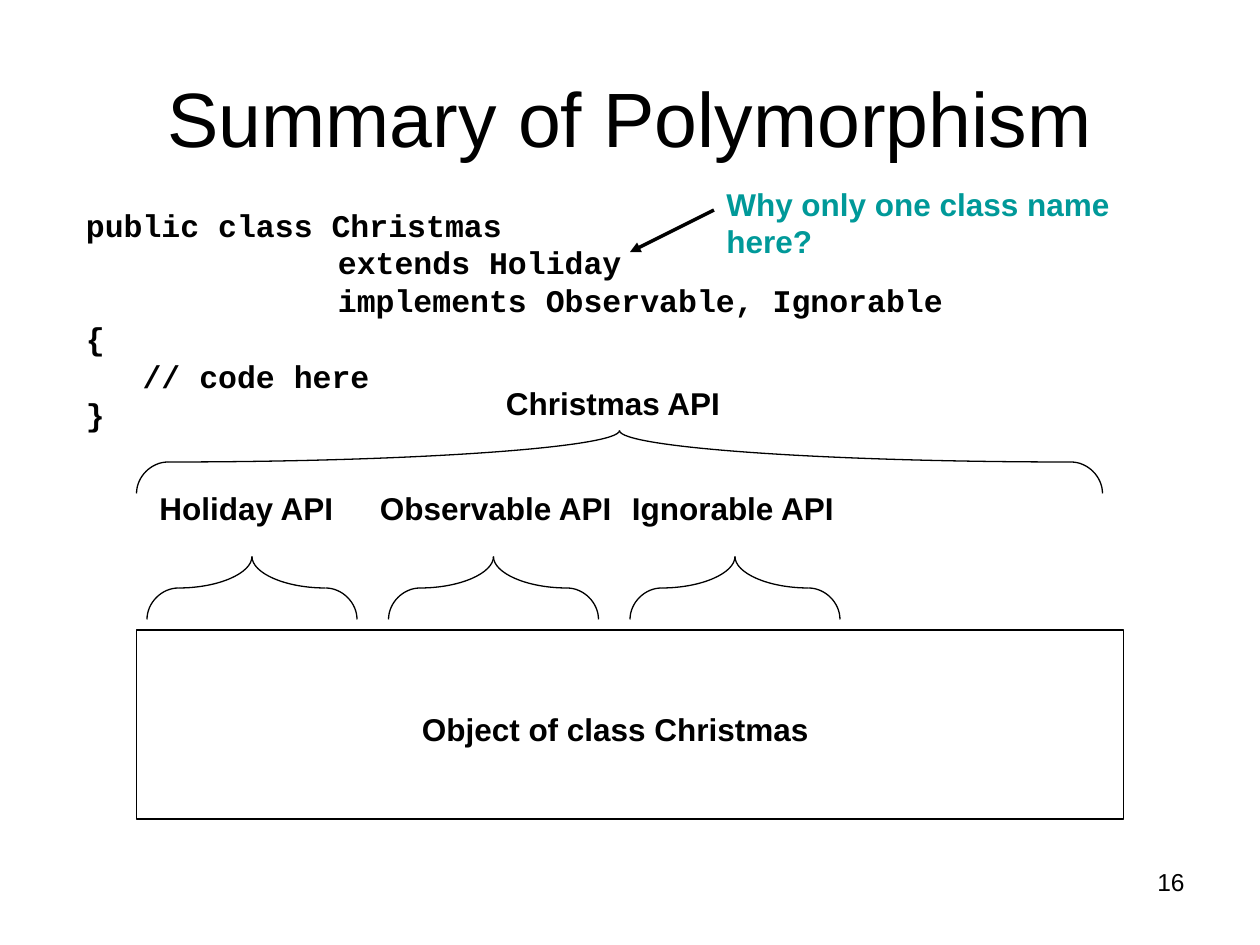
from lxml import etree
from pptx import Presentation
from pptx.dml.color import RGBColor
from pptx.enum.shapes import MSO_CONNECTOR, MSO_SHAPE
from pptx.enum.text import MSO_ANCHOR, PP_ALIGN
from pptx.oxml.ns import qn
from pptx.util import Pt

PX = 7620  # EMU per px, at 120 px to the inch
BLACK = RGBColor(0x00, 0x00, 0x00)
WHITE = RGBColor(0xFF, 0xFF, 0xFF)
TEAL = RGBColor(0x00, 0x99, 0x99)
CURVE = 0.55  # control point distance for a quarter ellipse
BRACE_STEP = 30  # half the height of a brace

# text, indent in px
CODE = [
    ("public class Christmas", 0),
    ("extends Holiday", 240),
    ("implements Observable, Ignorable", 240),
    ("{", 0),
    ("// code here", 54),
    ("}", 0),
]
# label, label left, label width
APIS = [
    ("Holiday API", 140, 191),
    ("Observable API", 350, 246),
    ("Ignorable API", 590, 217),
]


def px(*values):
    return [round(v * PX) for v in values]


def style(p, size, font="Arial", bold=False, color=BLACK):
    p.font.size = Pt(size)
    p.font.name = font
    p.font.bold = bold
    p.font.color.rgb = color


def add_text(slide, text, box, size, align=PP_ALIGN.LEFT,
             anchor=MSO_ANCHOR.TOP, wrap=True, **font):
    tf = slide.shapes.add_textbox(*px(*box)).text_frame
    tf.word_wrap = wrap
    tf.vertical_anchor = anchor
    p = tf.paragraphs[0]
    p.text = text
    p.alignment = align
    style(p, size, **font)


def add_label(slide, text, left, top, width, color=BLACK):
    add_text(slide, text, (left, top, width, 48), 18,
             wrap=False, bold=True, color=color)


def add_code(slide, lines, box):
    tf = slide.shapes.add_textbox(*px(*box)).text_frame
    tf.word_wrap = True
    for i, (text, indent) in enumerate(lines):
        p = tf.add_paragraph() if i else tf.paragraphs[0]
        p.text = text
        p.line_spacing = Pt(21.6)
        style(p, 18, font="Courier New", bold=True)
        if indent:
            p._p.get_or_add_pPr().set("marL", str(indent * PX))


def outline(sp):
    sp.shadow.inherit = False
    sp.line.color.rgb = BLACK
    sp.line.width = Pt(0.75)


def add_quarter(slide, x0, y0, x1, y1):
    """Draw a quarter ellipse that leaves (x0, y0) level and ends upright."""
    points = [
        (x0 + CURVE * (x1 - x0), y0),
        (x1, y1 - CURVE * (y1 - y0)),
        (x1, y1),
    ]
    builder = slide.shapes.build_freeform(x0, y0, scale=PX)
    builder.add_line_segments(points, close=False)
    sp = builder.convert_to_shape()
    outline(sp)
    sp.fill.background()
    path = next(sp._element.iter(qn("a:path")))
    bezier = etree.SubElement(path, qn("a:cubicBezTo"))
    for line in path.findall(qn("a:lnTo")):
        bezier.append(line[0])
        path.remove(line)


def add_brace(slide, left, top, width):
    tip = left + width // 2
    middle, bottom = top + BRACE_STEP, top + 2 * BRACE_STEP
    for end, inward in ((left, 1), (left + width, -1)):
        shoulder = end + inward * BRACE_STEP
        add_quarter(slide, shoulder, middle, end, bottom)
        add_quarter(slide, shoulder, middle, tip, top)


def add_box(slide, box):
    sp = slide.shapes.add_shape(MSO_SHAPE.RECTANGLE, *px(*box))
    outline(sp)
    sp.fill.solid()
    sp.fill.fore_color.rgb = WHITE


def add_arrow(slide, start, end):
    line = slide.shapes.add_connector(MSO_CONNECTOR.STRAIGHT, *px(*start, *end))
    line.line.color.rgb = BLACK
    line.line.width = Pt(2)
    etree.SubElement(line.line._get_or_add_ln(), qn("a:tailEnd"), type="triangle")
    etree.SubElement(line._element.spPr, qn("a:effectLst"))


def main():
    prs = Presentation()
    prs.slide_width, prs.slide_height = px(1200, 900)
    slide = prs.slides.add_slide(prs.slide_layouts[6])

    add_text(slide, "16", (860, 820, 280, 62), 14, align=PP_ALIGN.RIGHT)
    add_text(slide, "Summary of Polymorphism", (60, 36, 1080, 150), 44,
             align=PP_ALIGN.CENTER, anchor=MSO_ANCHOR.MIDDLE)
    add_code(slide, CODE, (70, 190, 1070, 228))

    add_box(slide, (130, 600, 940, 180))
    for i, (name, left, width) in enumerate(APIS):
        add_label(slide, name, left, 460, width)
        add_brace(slide, 140 + 230 * i, 530, 200)
    add_brace(slide, 130, 410, 920)
    add_label(slide, "Christmas API", 470, 360, 229)
    add_label(slide, "Object of class Christmas", 390, 670, 401)

    add_arrow(slide, (680, 200), (600, 240))
    add_label(slide, "Why only one class name  here?", 680, 170, 487, color=TEAL)

    prs.save("out.pptx")


if __name__ == "__main__":
    main()
